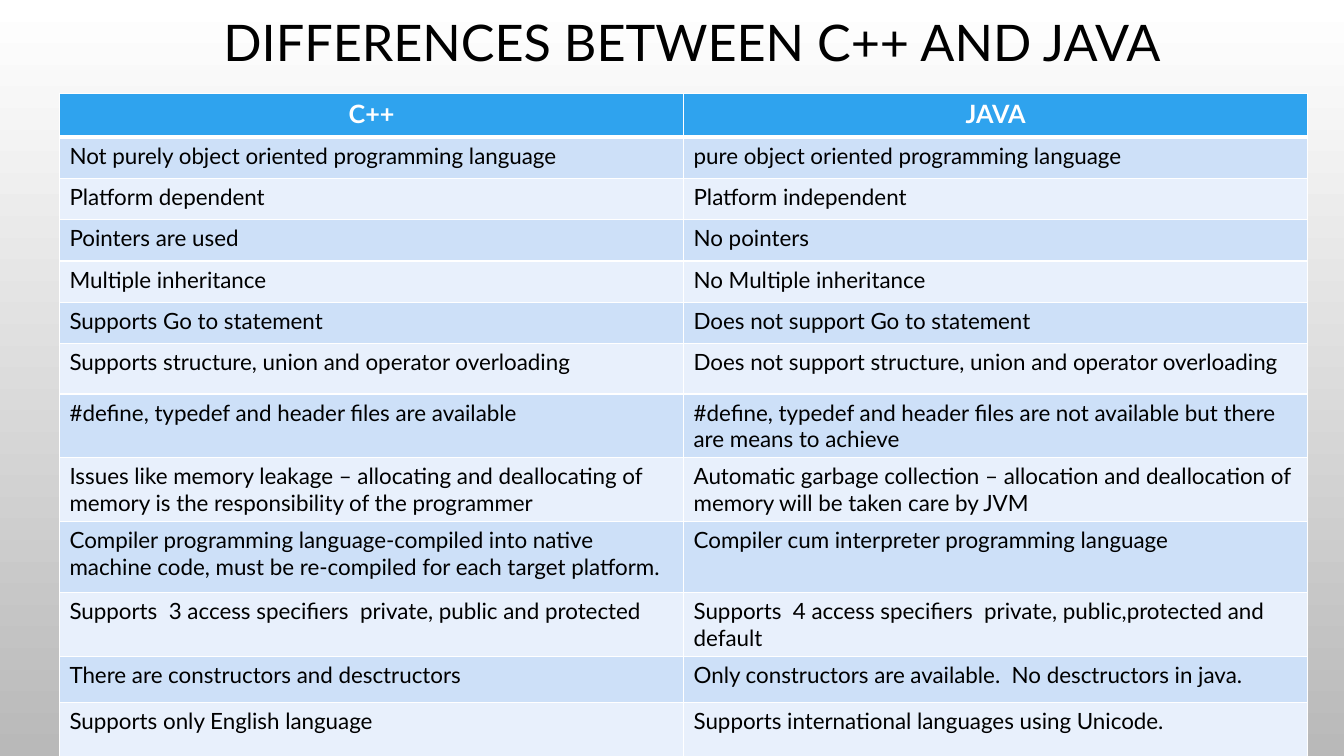
from typing import NamedTuple

from lxml.etree import SubElement
from pptx import Presentation
from pptx.dml.color import RGBColor
from pptx.enum.text import MSO_ANCHOR as Anchor, PP_ALIGN as Align
from pptx.oxml.ns import qn
from pptx.util import Inches, Pt

FONT = "Lato"
BLACK, WHITE = "000000", "FFFFFF"
HEADER_FILL = "2FA3EE"
BAND_FILLS = ("E8F0FC", "CDE0F8")
THIN, THICK = 1, 3


class Row(NamedTuple):
    cpp: str
    java: str
    height: float = 0.41


class Style(NamedTuple):
    size: int
    color: str = BLACK
    bold: bool = False
    align: Align = Align.LEFT


TITLE = Style(36, align=Align.CENTER)
HEADER = Style(18, WHITE, True, Align.CENTER)
BODY = Style(16)

ROWS = [
    Row("C++", "JAVA", 0.43),
    Row("Not purely object oriented programming language",
        "pure object oriented programming language"),
    Row("Platform dependent", "Platform independent"),
    Row("Pointers are used", "No pointers"),
    Row("Multiple inheritance", "No Multiple inheritance"),
    Row("Supports Go to statement", "Does not support Go to statement"),
    Row("Supports structure, union and operator overloading",
        "Does not support structure, union and operator overloading", 0.5),
    Row("#define, typedef and header files are available",
        "#define, typedef and header files are not available but there "
        "are means to achieve", 0.6),
    Row("Issues like memory leakage – allocating and deallocating of "
        "memory is the responsibility of the programmer",
        "Automatic garbage collection – allocation and deallocation of "
        "memory will be taken care by JVM", 0.6),
    Row("Compiler programming language-compiled into native machine code, "
        "must be re-compiled for each target platform.",
        "Compiler cum interpreter programming language", 0.7),
    Row("Supports  3 access specifiers  private, public and protected",
        "Supports  4 access specifiers  private, public,protected and default",
        0.47),
    Row("There are constructors and desctructors",
        "Only constructors are available.  No desctructors in java.", 0.46),
    Row("Supports only English language",
        "Supports international languages using Unicode.", 0.7),
]


def rgb(color: str) -> RGBColor:
    return RGBColor.from_string(color)


def write(frame, text: str, style: Style) -> None:
    frame.text = text
    para = frame.paragraphs[0]
    para.alignment = style.align
    font = para.runs[0].font
    font.name, font.size, font.bold = FONT, Pt(style.size), style.bold
    font.color.rgb = rgb(style.color)


def add_borders(cell, bottom: int, top: int) -> None:
    """Draw white lines on all four sides; call before filling the cell."""
    props = cell._tc.get_or_add_tcPr()
    for side, width in (("L", THIN), ("R", THIN), ("T", top), ("B", bottom)):
        line = SubElement(props, qn(f"a:ln{side}"), w=str(Pt(width)))
        fill = SubElement(line, qn("a:solidFill"))
        SubElement(fill, qn("a:srgbClr"), val=WHITE)


deck = Presentation()
deck.slide_width, deck.slide_height = Inches(13.33), Inches(7.5)
page = deck.slides.add_slide(deck.slide_layouts[6])

# Background: white fading down to grey
backdrop = page.background.fill
backdrop.gradient()
backdrop.gradient_angle = 270
for stop, color in zip(backdrop.gradient_stops, (WHITE, "B9B9B9")):
    stop.color.rgb = rgb(color)

# Title
title_box = page.shapes.add_textbox(
    Inches(1.2), 0, int(deck.slide_width * 0.85), int(deck.slide_height * 0.12))
title_frame = title_box.text_frame
title_frame.word_wrap = True
title_frame.vertical_anchor = Anchor.MIDDLE
write(title_frame, "DIFFERENCES BETWEEN C++ AND JAVA", TITLE)
title_frame.paragraphs[0].line_spacing = 0.9

# Comparison table: one header row, then alternating bands
table = page.shapes.add_table(
    len(ROWS), 2, Inches(0.59), Inches(0.93), Inches(12.38),
    Inches(sum(row.height for row in ROWS))).table
for index, row in enumerate(ROWS):
    table.rows[index].height = Inches(row.height)
    is_header = index == 0
    for cell, text in zip(table.rows[index].cells, (row.cpp, row.java)):
        write(cell.text_frame, text, HEADER if is_header else BODY)
        add_borders(cell, bottom=THICK if is_header else THIN,
                    top=THICK if index == 1 else THIN)
        cell.fill.solid()
        cell.fill.fore_color.rgb = rgb(
            HEADER_FILL if is_header else BAND_FILLS[index % 2])

deck.save("out.pptx")
